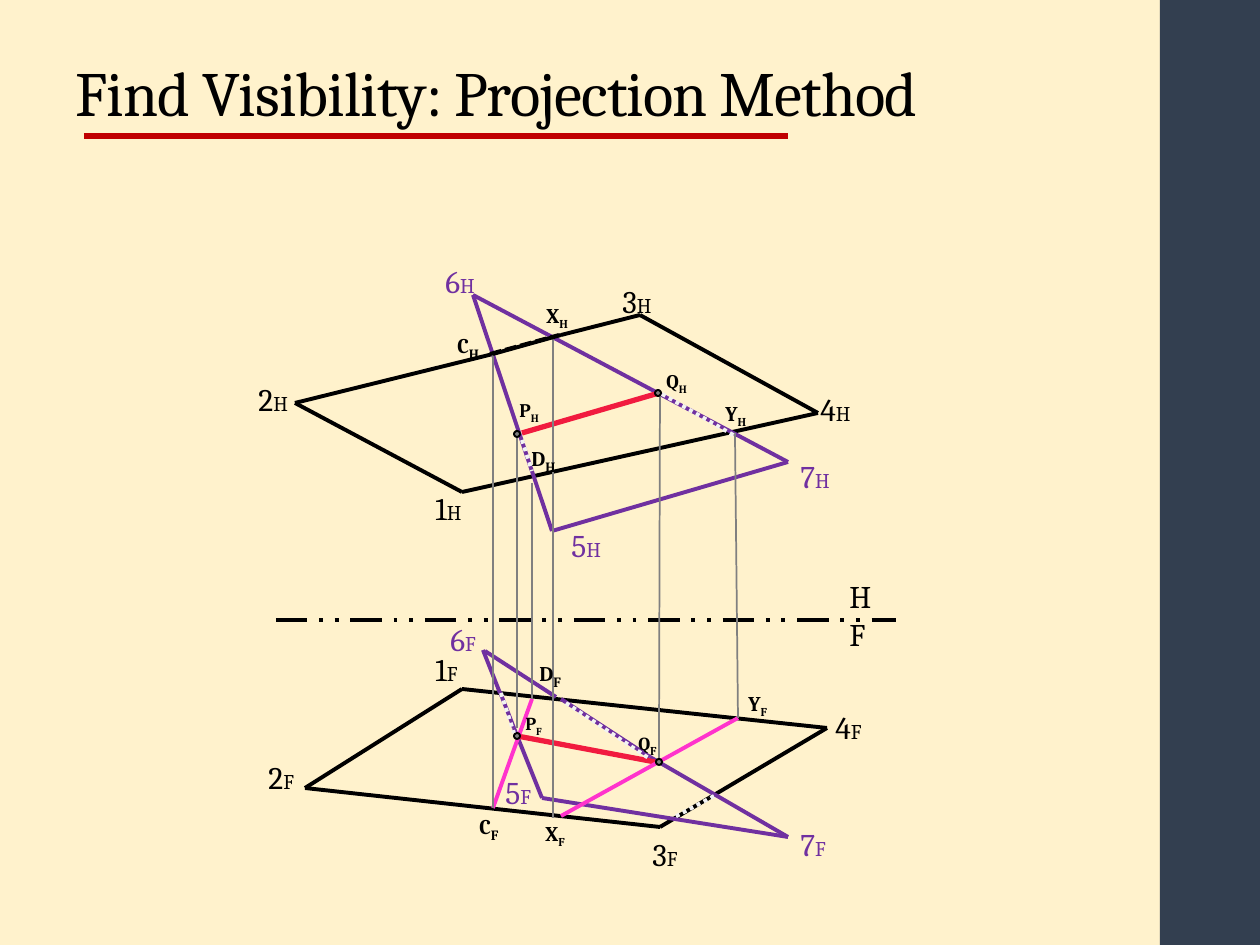
"""Build the slide on finding visibility with the projection method."""
from pptx import Presentation
from pptx.dml.color import RGBColor
from pptx.enum.dml import MSO_LINE as Dash
from pptx.enum.shapes import MSO_CONNECTOR as Conn, MSO_SHAPE as Shape
from pptx.enum.text import MSO_ANCHOR as Anchor, MSO_AUTO_SIZE as Fit
from pptx.oxml.ns import qn
from pptx.util import Pt
from lxml.etree import SubElement

SCALE = 914400 / 126
FONT = "Cambria"
BLACK, PURPLE, RED = "000000", "7030A0", "F11B3F"
PINK, GREY, PALE = "FF33CC", "808080", "F2F2F2"
TITLE = "Find Visibility: Projection Method"

# colour, width, dash, segments
LINES = [
    ("C00000", 3, None, [(84, 136, 788, 136)]),
    (BLACK, 2.25, None, [
        (295, 403, 493, 354), (561, 335, 640, 315), (640, 315, 818, 413),
        (462, 492, 818, 413), (295, 403, 462, 492),
        (462, 689, 305, 788), (462, 689, 827, 728), (827, 728, 709, 798),
        (709, 798, 660, 827), (305, 788, 660, 827)]),
    (PURPLE, 2.25, None, [
        (473, 295, 552, 531), (552, 531, 788, 462), (473, 295, 788, 462),
        (483, 650, 500, 693), (485, 651, 556, 697), (500, 692, 514, 728),
        (561, 699, 650, 757), (514, 728, 542, 798), (542, 798, 788, 837),
        (650, 757, 788, 837)]),
    (RED, 3, None, [(522, 433, 659, 393), (517, 736, 655, 762)]),
    (BLACK, 2.25, Dash.DASH_DOT_DOT, [(276, 620, 896, 620)]),
    (PINK, 2.25, None, [(532, 699, 493, 808), (561, 816, 738, 718)]),
    (GREY, 1, None, [
        (493, 354, 493, 808), (553, 335, 553, 818), (735, 433, 738, 718),
        (659, 759, 660, 394), (532, 483, 532, 699), (517, 728, 517, 433)]),
]
HIDDEN = [
    (BLACK, 2.25, None, [(493, 354, 561, 335)]),
    (BLACK, 2.25, Dash.SQUARE_DOT, [(490, 354, 559, 335)]),
    (PALE, 2.25, Dash.ROUND_DOT, [
        (522, 440, 532, 471), (662, 394, 735, 436), (566, 703, 650, 759),
        (501, 693, 514, 733), (714, 796, 673, 818)]),
]
CORNERS = {
    BLACK: [("1H", 423, 483), ("4H", 808, 384), ("3H", 610, 276),
            ("2H", 246, 374), ("1F", 423, 644), ("2F", 256, 752),
            ("4F", 823, 702), ("3F", 640, 829)],
    PURPLE: [("6H", 433, 256), ("7H", 788, 451), ("5H", 559, 520),
             ("6F", 438, 614), ("5F", 493, 767), ("7F", 788, 819)],
}
# name, left, top, size, subscript size
POINTS = [
    ("XH", 534, 296, 12, 12), ("CH", 445, 323, 12, 14),
    ("QH", 654, 363, 11, 11), ("PH", 507, 392, 11, 11),
    ("QF", 626, 723, 10.5, 12), ("CF", 467, 804, 12, 14),
    ("PF", 513, 706, 10.5, 10.5), ("XF", 533, 814, 12, 12),
    ("DH", 519, 436, 12, 14), ("DF", 527, 651, 12, 14),
    ("YF", 736, 684, 12, 12), ("YH", 713, 394, 12, 12),
]
DOTS = [(514, 733), (656, 759), (514, 431), (655, 390)]


def px(num):
    return round(num * SCALE)


def rgb(code):
    return RGBColor.from_string(code)


def draw(slide, groups):
    for hue, width, dash, segs in groups:
        for seg in segs:
            line = slide.shapes.add_connector(Conn.STRAIGHT, *map(px, seg))
            line.line.color.rgb = rgb(hue)
            line.line.width = Pt(width)
            if dash:
                line.line.dash_style = dash
            SubElement(line._element.spPr, qn("a:effectLst"))


def solid(slide, kind, box, fill, edge=None):
    shape = slide.shapes.add_shape(kind, *map(px, box))
    shape.shadow.inherit = False
    shape.fill.solid()
    shape.fill.fore_color.rgb = rgb(fill)
    if edge:
        shape.line.color.rgb = rgb(edge)
        shape.line.width = Pt(1.1)
    else:
        shape.line.fill.background()


def write(slide, box, runs, hue=BLACK, bold=False):
    frame = slide.shapes.add_textbox(*map(px, box)).text_frame
    frame.word_wrap = True
    para = frame.paragraphs[0]
    para.font.name = FONT
    para.font.bold = bold
    para.font.color.rgb = rgb(hue)
    for text, size in runs:
        run = para.add_run()
        run.text = text
        run.font.size = Pt(size)
    return frame


def label(slide, name, left, top, sizes, hue=BLACK, bold=False):
    box = left, top, 59, 38 if bold else 50
    frame = write(slide, box, zip(name, sizes), hue, bold)
    frame.auto_size = Fit.SHAPE_TO_FIT_TEXT
    if bold:
        sub = frame.paragraphs[0].runs[1]
        sub._r.get_or_add_rPr().set("baseline", "-25000")


def main():
    deck = Presentation()
    deck.slide_width, deck.slide_height = px(1260), px(945)
    slide = deck.slides.add_slide(deck.slide_layouts[6])
    back = slide.background.fill
    back.solid()
    back.fore_color.rgb = rgb("FFF2CC")

    solid(slide, Shape.RECTANGLE, (1160, 0, 100, 945), "333F50")
    title = write(slide, (63, 10, 1002, 126), [(TITLE, 36)])
    title.vertical_anchor = Anchor.BOTTOM
    head = title.paragraphs[0]
    head.line_spacing = 0.9
    head.runs[0]._r.get_or_add_rPr().set("spc", "-50")

    draw(slide, LINES)
    for hue, names in CORNERS.items():
        for name, left, top in names:
            label(slide, name, left, top, (18, 12), hue)
    fold = write(slide, (837, 571, 29, 89), [("HF", 18)])
    fold.auto_size = Fit.SHAPE_TO_FIT_TEXT
    for left, top in DOTS:
        solid(slide, Shape.FLOWCHART_CONNECTOR, (left, top, 6, 6), GREY, BLACK)
    for name, left, top, *sizes in POINTS:
        label(slide, name, left, top, sizes, bold=True)
    draw(slide, HIDDEN)
    deck.save("out.pptx")


if __name__ == "__main__":
    main()
